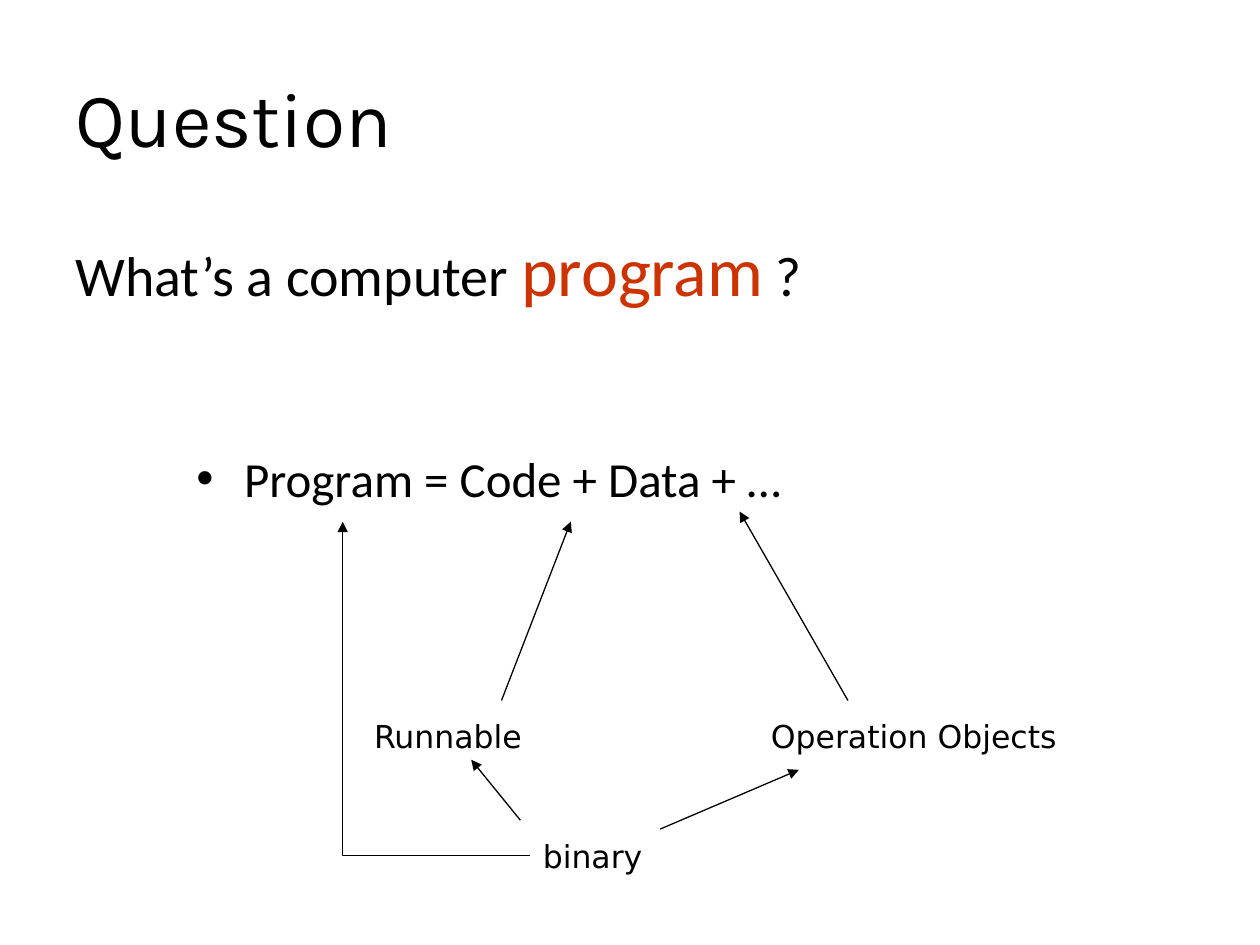
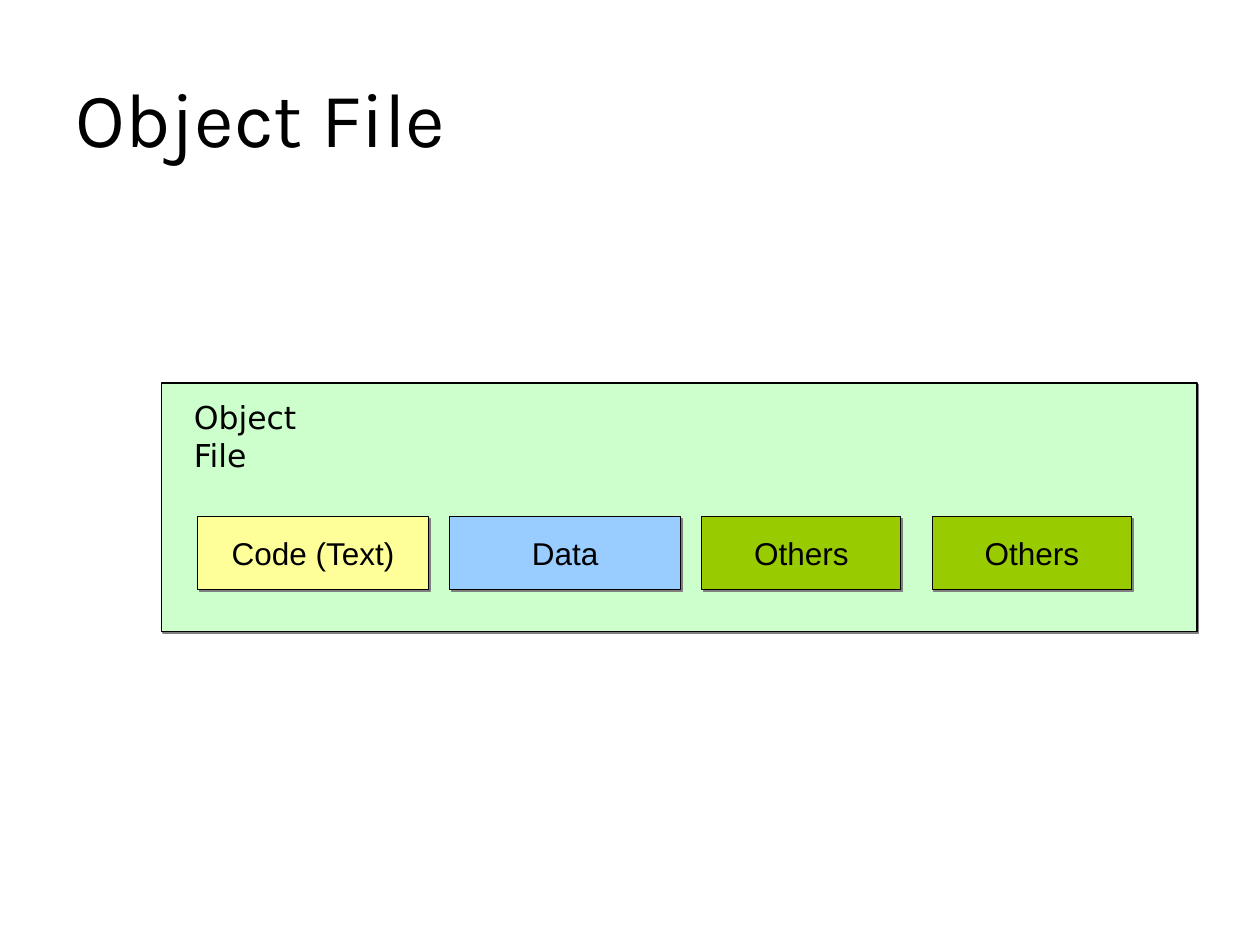
"""Builds two slides on what a program and an object file consist of."""
from dataclasses import dataclass

from pptx import Presentation
from pptx.dml.color import RGBColor
from pptx.enum.shapes import MSO_CONNECTOR, MSO_SHAPE
from pptx.enum.text import MSO_ANCHOR, PP_ALIGN
from pptx.oxml import parse_xml
from pptx.oxml.ns import nsdecls, qn
from pptx.util import Inches, Pt


@dataclass(frozen=True)
class Theme:
    """Colours, fonts and type sizes."""
    ink: str = "000000"
    accent: str = "CC3300"
    shadow: str = "808080"
    file: str = "CCFFCC"
    code: str = "FFFF99"
    data: str = "99CCFF"
    others: str = "99CC00"
    title_font: str = "Karla"
    body_font: str = "Calibri"
    label_font: str = "DejaVu Sans"
    box_font: str = "Arial"
    title: int = 44
    emphasis: int = 40
    question: int = 32
    formula: int = 28
    label: int = 18
    line: float = 0.75


class Deck:
    """Holds the theme and the current slide."""

    def __init__(self, theme):
        self.theme = theme
        self.presentation = Presentation()
        self.presentation.slide_width = Inches(10)
        self.presentation.slide_height = Inches(7.5)
        self.slide = None

    def add_slide(self, title):
        """Starts a slide with its title."""
        self.slide = self.presentation.slides.add_slide(self.presentation.slide_layouts[6])
        heading = self.text(title, 0.5, 0.3, 9, 1.25, self.theme.title_font, self.theme.title)
        heading.text_frame.vertical_anchor = MSO_ANCHOR.MIDDLE

    def style(self, run, font, size, color=None):
        """Sets the font of one run."""
        run.font.name = font
        run.font.size = Pt(size)
        run.font.color.rgb = RGBColor.from_string(color or self.theme.ink)

    def text(self, words, left, top, width, height, font, size):
        """Adds a wrapping text box."""
        box = self.slide.shapes.add_textbox(Inches(left), Inches(top), Inches(width), Inches(height))
        box.text_frame.word_wrap = True
        box.text_frame.text = words
        self.style(box.text_frame.paragraphs[0].runs[0], font, size)
        return box

    def label(self, words, left, top, width):
        """Adds a small label."""
        return self.text(words, left, top, width, 0.4, self.theme.label_font, self.theme.label)

    def question(self, before, keyword, after):
        """Adds the question line with its keyword set off."""
        theme = self.theme
        box = self.text(before, 0.5, 1.75, 9, 1.32, theme.body_font, theme.question)
        paragraph = box.text_frame.paragraphs[0]
        for words, size, color in ((keyword, theme.emphasis, theme.accent),
                                   (after, theme.question, theme.ink)):
            run = paragraph.add_run()
            run.text = words
            self.style(run, theme.body_font, size, color)

    def bullet(self, words, left, top, width, height):
        """Adds a bulleted line with a hanging indent."""
        box = self.text(words, left, top, width, height, self.theme.body_font, self.theme.formula)
        properties = box.text_frame.paragraphs[0]._p.get_or_add_pPr()
        properties.set("marL", str(Inches(0.38)))
        properties.set("indent", str(-Inches(0.38)))
        properties.append(parse_xml(f'<a:buFont {nsdecls("a")} typeface="Arial"/>'))
        properties.append(parse_xml(f'<a:buChar {nsdecls("a")} char="•"/>'))

    def arrow(self, start, end, kind=MSO_CONNECTOR.STRAIGHT):
        """Adds a thin connector with an arrowhead at its end."""
        connector = self.slide.shapes.add_connector(kind, *map(Inches, start + end))
        connector.line.color.rgb = RGBColor.from_string(self.theme.ink)
        connector.line.width = Pt(self.theme.line)
        connector.line._get_or_add_ln().append(
            parse_xml(f'<a:tailEnd {nsdecls("a")} type="triangle"/>'))
        connector._element.spPr.append(parse_xml(f'<a:effectLst {nsdecls("a")}/>'))
        return connector

    def corner_arrow(self, start, end):
        """Adds an arrow that runs left from its start, then up to its end."""
        properties = self.arrow(end, start, MSO_CONNECTOR.ELBOW)._element.spPr
        properties.find(qn("a:prstGeom")).set("prst", "bentConnector2")
        properties.find(qn("a:xfrm")).set("rot", str(180 * 60000))

    def box(self, left, top, width, height, fill, words=None):
        """Adds an outlined rectangle with a hard shadow and an optional caption."""
        theme = self.theme
        shape = self.slide.shapes.add_shape(
            MSO_SHAPE.RECTANGLE, Inches(left), Inches(top), Inches(width), Inches(height))
        shape.fill.solid()
        shape.fill.fore_color.rgb = RGBColor.from_string(fill)
        shape.line.color.rgb = RGBColor.from_string(theme.ink)
        shape.line.width = Pt(theme.line)
        shape.shadow.inherit = False
        shape._element.spPr.find(qn("a:effectLst")).append(parse_xml(
            f'<a:outerShdw {nsdecls("a")} dist="{Pt(1.4)}" dir="{45 * 60000}" algn="ctr" '
            f'rotWithShape="0"><a:srgbClr val="{theme.shadow}"/></a:outerShdw>'))
        if words:
            frame = shape.text_frame
            frame.text = words
            frame.word_wrap = False
            frame.vertical_anchor = MSO_ANCHOR.MIDDLE
            frame.paragraphs[0].alignment = PP_ALIGN.CENTER
            self.style(frame.paragraphs[0].runs[0], theme.box_font, theme.label)


def build_question(deck):
    """Slide on what a program is made of."""
    deck.add_slide("Question")
    deck.question("What’s a computer ", "program", " ?")
    deck.bullet("Program = Code + Data + …", 1.46, 3.51, 8, 0.79)
    for words, left, top, width in (("Runnable", 2.87, 5.64, 1.81),
                                    ("Operation Objects", 6.02, 5.64, 2.68),
                                    ("binary", 4.21, 6.59, 2.28)):
        deck.label(words, left, top, width)
    for start, end in (((3.98, 5.56), (4.53, 4.14)),
                       ((6.73, 5.56), (5.87, 4.06)),
                       ((4.13, 6.51), (3.74, 6.03)),
                       ((5.24, 6.58), (6.34, 6.11))):
        deck.arrow(start, end)
    deck.corner_arrow((4.21, 6.79), (2.72, 4.14))


def build_object_file(deck):
    """Slide on the sections of an object file."""
    theme = deck.theme
    deck.add_slide("Object File")
    deck.box(1.28, 3.04, 8.22, 1.97, theme.file)
    for words, left, width, fill in (("Code (Text)", 1.57, 1.83, theme.code),
                                     ("Data", 3.57, 1.83, theme.data),
                                     ("Others", 5.57, 1.58, theme.others),
                                     ("Others", 7.4, 1.58, theme.others)):
        deck.box(left, 4.1, width, 0.58, fill, words)
    deck.label("Object File", 1.44, 3.11, 1.43)


def main():
    """Builds and saves the slides."""
    deck = Deck(Theme())
    build_question(deck)
    build_object_file(deck)
    deck.presentation.save("out.pptx")


if __name__ == "__main__":
    main()
